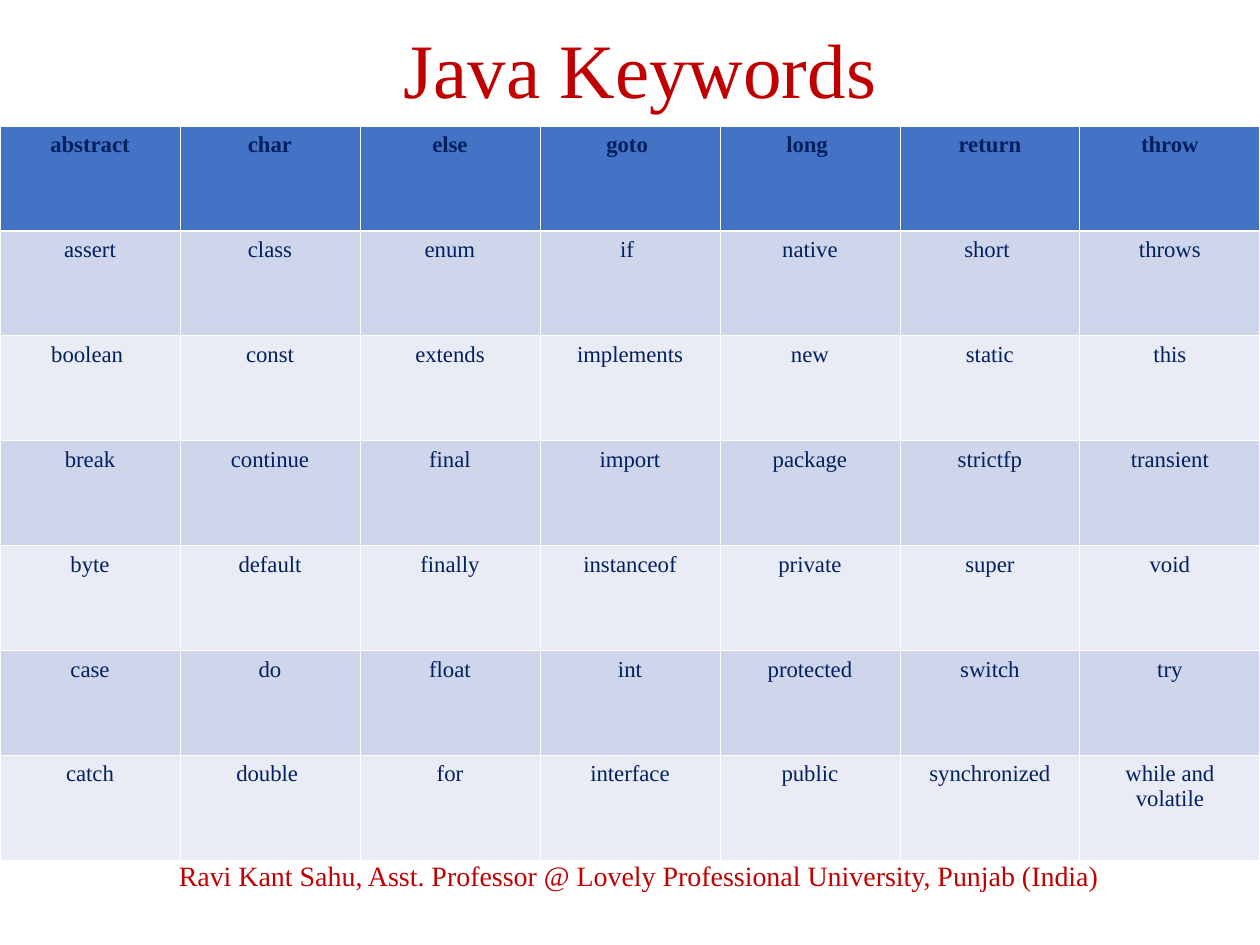
from lxml.etree import SubElement
from pptx import Presentation
from pptx.dml.color import RGBColor
from pptx.enum.text import MSO_ANCHOR as Anchor, PP_ALIGN as Align
from pptx.oxml.ns import qn
from pptx.util import Inches, Pt

COLORS = {
    "accent": "C00000",
    "keyword": "002060",
    "header": "4472C4",
    "odd": "CFD5EA",
    "even": "E9EBF5",
    "border": "FFFFFF",
}

KEYWORDS = [
    ["abstract", "char", "else", "goto ", "long ", "return", "throw"],
    ["assert", "class", "enum", "if ", "native", "short ", "throws"],
    ["boolean ", "const", "extends", "implements", "new", "static", "this"],
    ["break", "continue", "final", "import", "package", "strictfp", "transient"],
    ["byte", "default", "finally", "instanceof", "private", "super", "void"],
    ["case", "do", "float", "int", "protected", "switch", "try"],
    ["catch", "double ", "for", "interface", "public", "synchronized", "while and volatile"],
]


class KeywordSlide:
    font_name = "Times New Roman"
    thin, thick = 0.45, 1.47

    def __init__(self, deck):
        self.slide = deck.slides.add_slide(deck.slide_layouts[5])

    def set_text(self, frame, text, size, color, bold=False):
        frame.text = text
        frame.word_wrap = True
        line = frame.paragraphs[0]
        line.alignment = Align.CENTER
        font = line.runs[0].font
        font.name = self.font_name
        font.size = Pt(size)
        font.bold = bold
        font.color.rgb = RGBColor.from_string(COLORS[color])

    def title(self, text, left, top, width, height):
        heading = self.slide.shapes.title
        heading.left, heading.top = Inches(left), Inches(top)
        heading.width, heading.height = Inches(width), Inches(height)
        frame = heading.text_frame
        self.set_text(frame, text, 44, "accent")
        frame.vertical_anchor = Anchor.TOP
        frame.margin_top = Inches(0.17)

    def footer(self, text, left, top, width, height):
        credit = self.slide.shapes.add_textbox(
            Inches(left), Inches(top), Inches(width), Inches(height))
        self.set_text(credit.text_frame, text, 16, "accent")
        credit.text_frame.vertical_anchor = Anchor.MIDDLE

    def border(self, cell, side, width):
        edge = SubElement(cell._tc.get_or_add_tcPr(), qn(f"a:ln{side}"), w=str(Pt(width)))
        fill = SubElement(edge, qn("a:solidFill"))
        SubElement(fill, qn("a:srgbClr"), val=COLORS["border"])

    def table(self, rows, left, top, width, height):
        grid = self.slide.shapes.add_table(
            len(rows), len(rows[0]),
            Inches(left), Inches(top), Inches(width), Inches(height)).table
        grid.horz_banding = False
        for r, row in enumerate(rows):
            shade = "header" if r == 0 else "odd" if r % 2 else "even"
            edges = {
                "L": self.thin,
                "R": self.thin,
                "T": self.thick if r == 1 else self.thin,
                "B": self.thick if r == 0 else self.thin,
            }
            for c, keyword in enumerate(row):
                cell = grid.cell(r, c)
                for side, weight in edges.items():
                    self.border(cell, side, weight)
                cell.fill.solid()
                cell.fill.fore_color.rgb = RGBColor.from_string(COLORS[shade])
                self.set_text(cell.text_frame, keyword, 13, "keyword", bold=r == 0)


def main():
    deck = Presentation()
    deck.slide_width, deck.slide_height = Inches(10), Inches(7.5)
    page = KeywordSlide(deck)
    page.title("Java Keywords", 0.83, 0, 8.5, 1.25)
    page.table(KEYWORDS, 0, 1, 10, 5.83)
    page.footer(
        "Ravi Kant Sahu, Asst. Professor @ Lovely Professional University, Punjab (India)",
        0.92, 6.75, 8.3, 0.4)
    deck.save("out.pptx")


if __name__ == "__main__":
    main()
